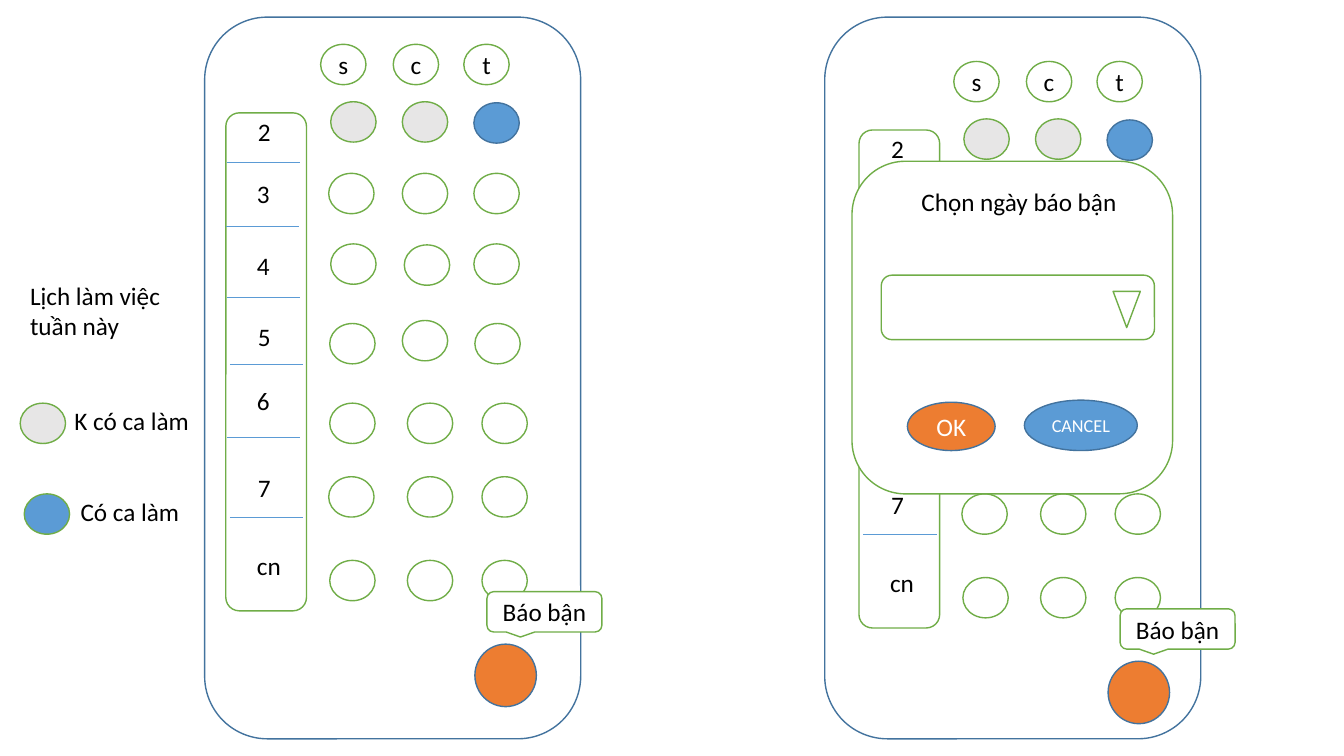
from lxml.etree import SubElement
from pptx import Presentation
from pptx.dml.color import RGBColor
from pptx.enum.shapes import MSO_CONNECTOR as Link, MSO_SHAPE as Geo
from pptx.enum.text import MSO_ANCHOR as Anchor, MSO_AUTO_SIZE as Fit, PP_ALIGN as Align
from pptx.oxml.ns import qn
from pptx.util import Inches, Pt

WHITE, BLACK, GREY = "FFFFFF", "000000", "E7E6E6"
BLUE, NAVY, GREEN, ORANGE = "5B9BD5", "43739E", "70AD47", "ED7D31"
DOT_W, DOT_H, LINE_H = 0.45, 0.4, 0.4
BUSY = "Báo bận"

SHIFTS = {"s": 3.18, "c": 3.9, "t": 4.6}
DAYS = {
    "2": {"label": (2.46, 1.1), "rule": (2.25, 1.61), "dots": [(3.28, 1.01), (3.99, 1.01), (4.7, 1.02)]},
    "3": {"label": (2.45, 1.72), "rule": (2.24, 2.25), "dots": [(3.26, 1.72), (3.99, 1.72), (4.7, 1.72)]},
    "4": {"label": (2.45, 2.43), "rule": (2.25, 2.95), "dots": [(3.28, 2.42), (4.01, 2.43), (4.7, 2.42)]},
    "5": {"label": (2.46, 3.14), "rule": (2.28, 3.61), "dots": [(3.27, 3.21), (3.99, 3.18), (4.71, 3.21)]},
    "6": {"label": (2.45, 3.77), "rule": (2.25, 4.34), "dots": [(3.27, 4), (4.04, 4), (4.78, 4)]},
    "7": {"label": (2.46, 4.64), "rule": (2.28, 5.13), "dots": [(3.26, 4.73), (4.04, 4.73), (4.78, 4.73)]},
    "cn": {"label": (2.45, 5.41), "rule": None, "dots": [(3.27, 5.56), (4.04, 5.56), (4.78, 5.56)]},
}
FIRST_DAY_STYLES = [(GREY, GREEN), (GREY, GREEN), (BLUE, NAVY)]
OPEN_STYLES = [(WHITE, GREEN)] * 3

NOTE_FRAME = {"auto_size": Fit.SHAPE_TO_FIT_TEXT, "vertical_anchor": Anchor.TOP}
SHAPE_FRAME = {"vertical_anchor": Anchor.MIDDLE, "word_wrap": True,
               "margin_left": 0, "margin_right": 0}


def color(value):
    return RGBColor.from_string(value)


def apply(target, values):
    for key, value in values.items():
        setattr(target, key, value)


def write(holder, words, frame_format, align, size=18, ink=BLACK):
    frame = holder.text_frame
    apply(frame, frame_format)
    frame.text = words
    line = frame.paragraphs[0]
    line.alignment = align
    font = line.runs[0].font
    apply(font, {"name": "Calibri", "size": Pt(size)})
    font.color.rgb = color(ink)


def add_note(slide, words, left, top, width, height=LINE_H, wrap=False):
    note = slide.shapes.add_textbox(*map(Inches, (left, top, width, height)))
    write(note, words, {**NOTE_FRAME, "word_wrap": wrap}, Align.LEFT)


def add_form(slide, geometry, box, fill=WHITE, outline=GREEN, words="", **text_style):
    form = slide.shapes.add_shape(geometry, *map(Inches, box))
    form.shadow.inherit = False
    form.fill.solid()
    form.fill.fore_color.rgb = color(fill)
    form.line.color.rgb = color(outline)
    form.line.width = Pt(1)
    if words:
        write(form, words, SHAPE_FRAME, Align.CENTER, **text_style)
    return form


def add_dot(slide, left, top, fill=WHITE, outline=GREEN, words=""):
    add_form(slide, Geo.OVAL, (left, top, DOT_W, DOT_H), fill, outline, words)


def add_rule(slide, left, top):
    ends = map(Inches, (left, top, left + 0.73, top))
    rule = slide.shapes.add_connector(Link.STRAIGHT, *ends)
    rule.line.color.rgb = color(BLUE)
    rule.line.width = Pt(0.5)
    SubElement(rule.element.spPr, qn("a:effectLst"))


def add_phone(slide, frame_left, days, ruled_days, dx=0, dy=0):
    add_form(slide, Geo.ROUNDED_RECTANGLE, (frame_left, 0.17, 3.73, 7.16), outline=NAVY)
    add_form(slide, Geo.ROUNDED_RECTANGLE, (2.24 + dx, 1.12 + dy, 0.8, 4.94))
    for day in ruled_days:
        left, top = DAYS[day]["rule"]
        add_rule(slide, left + dx, top + dy)
    for day in days:
        left, top = DAYS[day]["label"]
        add_note(slide, day, left + dx, top + dy, 0.44 if day == "cn" else 0.33)
        styles = FIRST_DAY_STYLES if day == "2" else OPEN_STYLES
        for (left, top), style in zip(DAYS[day]["dots"], styles):
            add_dot(slide, left + dx, top + dy, *style)
    add_form(slide, Geo.OVAL, (4.71 + dx, 6.39 + dy, 0.61, 0.62), ORANGE, NAVY)
    for shift, left in SHIFTS.items():
        add_dot(slide, left + dx, 0.44 + dy, words=shift)
    add_form(slide, Geo.ROUNDED_RECTANGULAR_CALLOUT,
             (4.83 + dx, 5.87 + dy, 1.14, 0.4), words=BUSY)


def add_legend(slide):
    add_note(slide, "Lịch làm việc tuần này", 0.2, 2.73, 1.63, 0.71, wrap=True)
    add_dot(slide, 0.2, 4, GREY)
    add_dot(slide, 0.24, 4.9, BLUE)
    add_note(slide, "K có ca làm", 0.64, 3.97, 1.35)
    add_note(slide, "Có ca làm", 0.7, 4.87, 1.19)


def add_dialog(slide):
    add_form(slide, Geo.ROUNDED_RECTANGLE, (8.45, 1.6, 3.18, 3.3))
    add_note(slide, "Chọn ngày báo bận", 9.04, 1.8, 2.16)
    add_form(slide, Geo.ROUNDED_RECTANGLE, (8.74, 2.73, 2.71, 0.64))
    arrow = add_form(slide, Geo.ISOSCELES_TRIANGLE, (11.04, 2.89, 0.27, 0.36))
    arrow.rotation = 180
    add_form(slide, Geo.OVAL, (9, 3.99, 0.87, 0.48), ORANGE, NAVY, "OK", ink=WHITE)
    add_form(slide, Geo.OVAL, (10.16, 3.97, 1.12, 0.5), BLUE, NAVY, "CANCEL", size=13, ink=WHITE)


def main():
    deck = Presentation()
    apply(deck, {"slide_width": Inches(13.33), "slide_height": Inches(7.5)})
    slide = deck.slides.add_slide(deck.slide_layouts[6])
    add_phone(slide, 2.03, DAYS, [day for day in DAYS if DAYS[day]["rule"]])
    add_legend(slide)
    add_phone(slide, 8.18, ["2", "7", "cn"], ["7"], dx=6.28, dy=0.17)
    add_dialog(slide)
    deck.save("out.pptx")


main()
